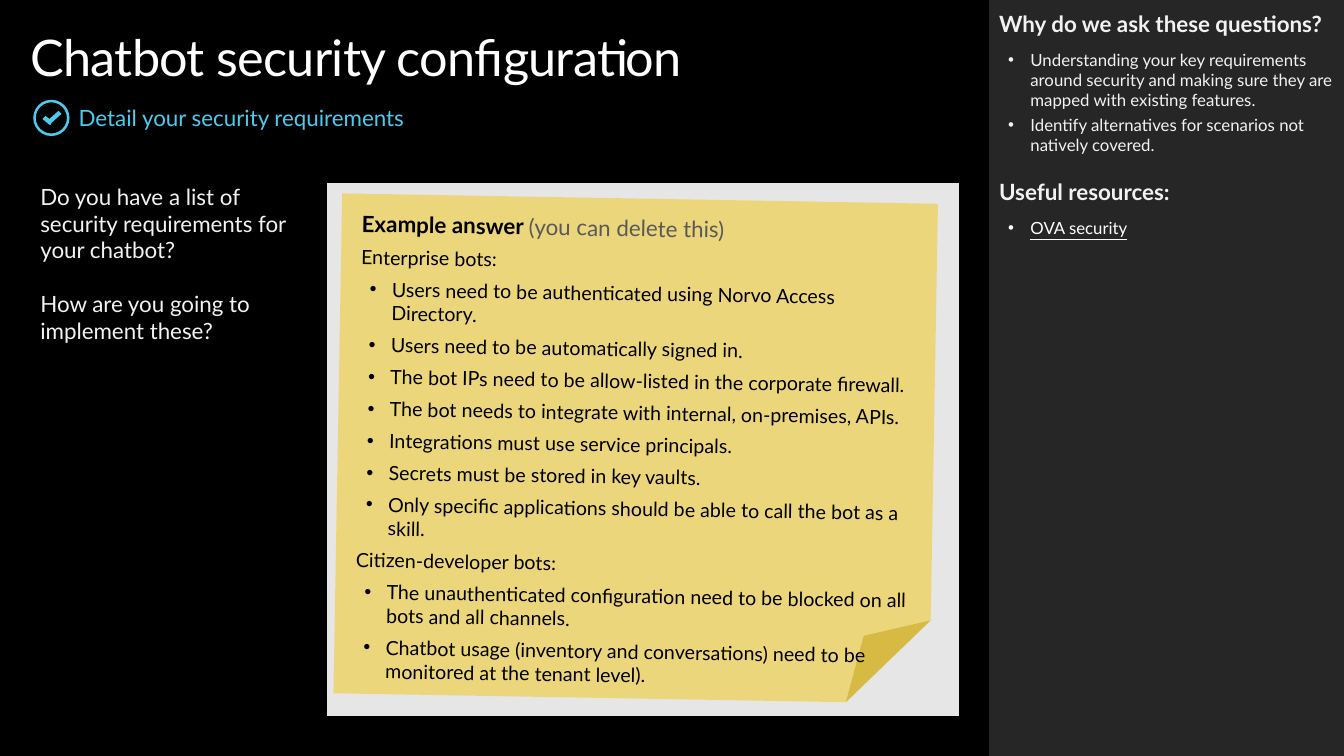
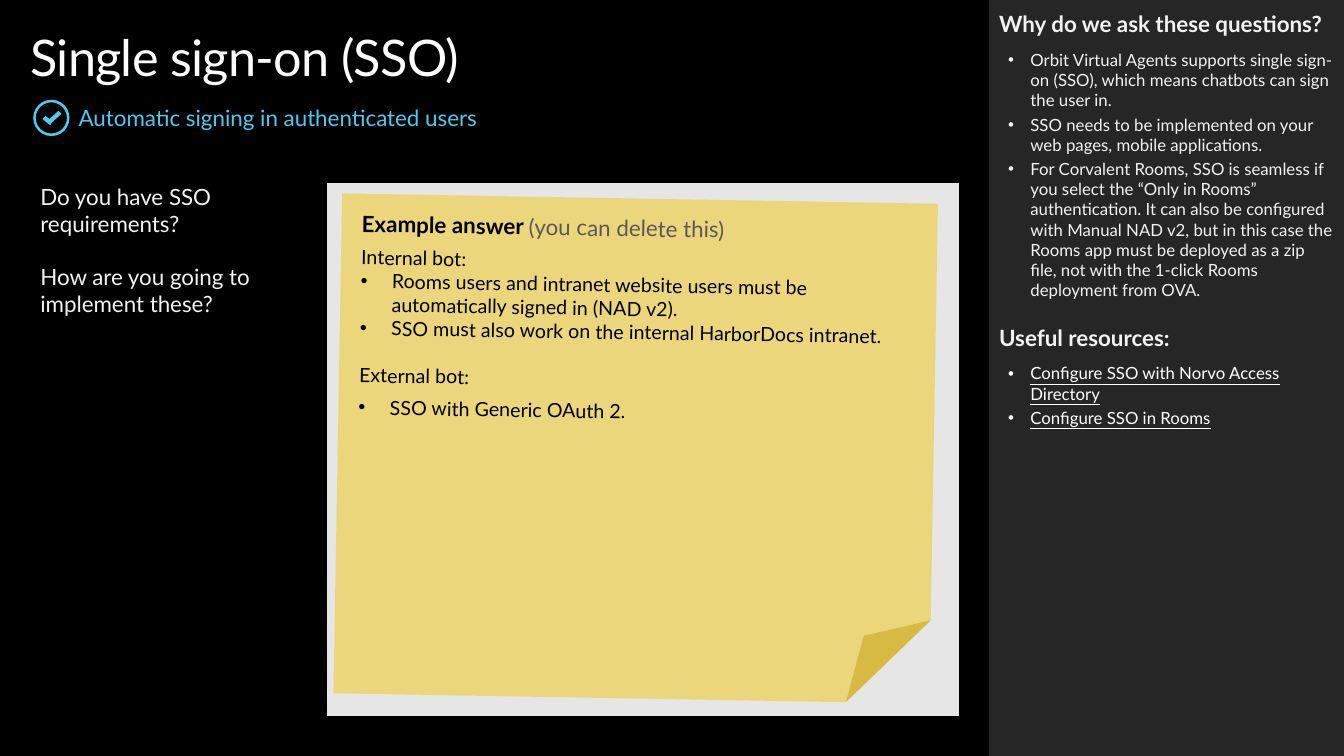
from lxml import etree
from pptx import Presentation
from pptx import util as u
from pptx.dml import color
from pptx.enum import shapes, text
from pptx.oxml import ns

FONT = "Lato"
BLACK, WHITE, PALE, GREY = "000000", "FFFFFF", "F2F2F2", "595959"
ACCENT, PANEL, ANSWER, NOTE = "4CCBED", "262626", "E6E6E6", "F2C811"
NO_TABLE_STYLE = "{2D5ABB26-0587-4C30-8999-92F81FD0307C}"
PANEL_LEFT, PANEL_WIDTH = 9.81, 3.53
BULLET_INDENT = (0.31, 0.22)
WIDE_INDENT = (0.31, 0.31)


def rgb(value):
    return color.RGBColor.from_string(value)


def add_xml(parent, tag, index=None, **attributes):
    child = etree.Element(ns.qn(tag), attributes)
    parent.insert(len(parent) if index is None else index, child)
    return child


def line(words, size, tint, bold=False, underline=False, before=0, after=0,
         indent=None, extra=None):
    """Describe one paragraph; extra is a (words, colour) ending in regular weight."""
    spans = [(words, tint, bold, underline)]
    if extra:
        spans.append((*extra, False, False))
    return {"spans": spans, "size": size, "before": before,
            "after": after, "indent": indent}


# Kinds of paragraph
def heading(words, before=0):
    return line(words, 16, PALE, bold=True, before=before, after=6)


def reason(words):
    return line(words, 12, PALE, before=3, indent=BULLET_INDENT)


def resource(words):
    return line(words, 12, WHITE, underline=True, before=3, indent=BULLET_INDENT)


def note_line(words, before=0, after=6, indent=None):
    return line(words, 14, BLACK, before=before, after=after, indent=indent)


class Workbook:
    def __init__(self):
        self.deck = Presentation()
        self.deck.slide_width = u.Inches(13.33)
        self.deck.slide_height = u.Inches(7.5)
        backdrop = self.deck.slide_master.background.fill
        backdrop.solid()
        backdrop.fore_color.rgb = rgb(BLACK)
        self.page = None

    def new_page(self):
        self.page = self.deck.slides.add_slide(self.deck.slide_layouts[3])
        panel = self.shape(shapes.MSO_SHAPE.RECTANGLE,
                           (PANEL_LEFT, 0, PANEL_WIDTH, 7.5), PANEL)
        self.page.shapes._spTree.insert(2, panel._element)
        self.badge()

    def paint(self, shape, fill):
        shape.shadow.inherit = False
        shape.fill.solid()
        shape.fill.fore_color.rgb = rgb(fill)
        shape.line.fill.background()
        return shape

    def shape(self, kind, place, fill):
        box = self.page.shapes.add_shape(kind, *map(u.Inches, place))
        return self.paint(box, fill)

    def badge(self):
        ring = self.shape(shapes.MSO_SHAPE.DONUT, (0.33, 0.99, 0.36, 0.36), ACCENT)
        ring.adjustments[0] = 0.07
        tick = [(0.58, 1.1), (0.49, 1.18), (0.45, 1.15), (0.42, 1.18),
                (0.48, 1.23), (0.5, 1.24), (0.51, 1.22), (0.61, 1.13)]
        points = [(u.Inches(x), u.Inches(y)) for x, y in tick]
        outline = self.page.shapes.build_freeform(*points[0])
        outline.add_line_segments(points[1:], close=True)
        self.paint(outline.convert_to_shape(), ACCENT)

    def set_lines(self, frame, lines):
        frame.word_wrap = True
        for number, item in enumerate(lines):
            para = frame.paragraphs[0] if number == 0 else frame.add_paragraph()
            para.alignment = text.PP_ALIGN.LEFT
            para.line_spacing = 1.0
            para.space_before = u.Pt(item["before"])
            para.space_after = u.Pt(item["after"])
            left, hang = item["indent"] or (0, 0)
            properties = para._p.get_or_add_pPr()
            properties.set("marL", str(u.Inches(left)))
            properties.set("indent", str(-u.Inches(hang)))
            if item["indent"]:
                add_xml(properties, "a:buFont", typeface="Arial")
                add_xml(properties, "a:buChar", char="•")
            else:
                add_xml(properties, "a:buNone")
            for words, tint, bold, underline in item["spans"]:
                span = para.add_run()
                span.text = words
                span.font.name = FONT
                span.font.size = u.Pt(item["size"])
                span.font.color.rgb = rgb(tint)
                span.font.bold = bold
                span.font.underline = underline

    def set_frame(self, frame, insets, anchor):
        frame.auto_size = text.MSO_AUTO_SIZE.NONE
        frame.vertical_anchor = anchor
        (frame.margin_left, frame.margin_top,
         frame.margin_right, frame.margin_bottom) = map(u.Inches, insets)

    def placeholder(self, index, place, lines, inset=0, anchor=text.MSO_ANCHOR.TOP):
        box = self.page.placeholders[index]
        box.left, box.top, box.width, box.height = map(u.Inches, place)
        self.set_frame(box.text_frame, [inset] * 4, anchor)
        self.set_lines(box.text_frame, lines)
        return box

    def title(self, words):
        box = self.placeholder(0, (0.3, 0.26, 9.21, 0.61), [line(words, 36, WHITE)])
        span = box.text_frame.paragraphs[0].runs[0]
        span._r.get_or_add_rPr().set("spc", "-50")

    def subtitle(self, words):
        self.placeholder(1, (0.78, 1.03, 8.73, 0.27), [line(words, 16, ACCENT)],
                         anchor=text.MSO_ANCHOR.MIDDLE)

    def sidebar(self, reasons, resources, height):
        lines = [heading("Why do we ask these questions?")]
        lines += map(reason, reasons)
        lines.append(heading("Useful resources:", before=17))
        lines += map(resource, resources)
        self.placeholder(2, (PANEL_LEFT, 0, PANEL_WIDTH, height), lines, inset=0.1)

    def question_table(self, questions):
        place = map(u.Inches, (0.4, 1.82, 9.11, 5.32))
        table = self.page.shapes.add_table(1, 2, *place).table
        table.first_row = table.horz_banding = False
        table._tbl.tblPr.find(ns.qn("a:tableStyleId")).text = NO_TABLE_STYLE
        for column, width in zip(table.columns, (2.84, 6.27)):
            column.width = u.Inches(width)
        asked, answer = table.cell(0, 0), table.cell(0, 1)
        asked.fill.background()
        answer.fill.solid()
        answer.fill.fore_color.rgb = rgb(ANSWER)
        asked.margin_left = asked.margin_top = asked.margin_bottom = 0
        asked.margin_right = u.Inches(0.1)
        self.set_lines(asked.text_frame, [
            line(words, 16, PALE, before=19 if number else 0)
            for number, words in enumerate(questions)])
        for cell in (asked, answer):
            border = add_xml(cell._tc.get_or_add_tcPr(), "a:lnB", 0, w=str(u.Pt(6)))
            add_xml(add_xml(border, "a:solidFill"), "a:srgbClr", val=BLACK)

    def sticky_note(self, lines):
        note = self.shape(shapes.MSO_SHAPE.FOLDED_CORNER,
                          (3.35, 1.97, 5.91, 4.96), NOTE)
        note.rotation = 1
        tint = note._element.spPr.find(ns.qn("a:solidFill"))[0]
        add_xml(tint, "a:alpha", val="50000")
        self.set_frame(note.text_frame, (0.2, 0.16, 0.2, 0.16), text.MSO_ANCHOR.TOP)
        top = line("Example answer ", 16, BLACK, bold=True, after=6,
                   extra=("(you can delete this)", GREY))
        self.set_lines(note.text_frame, [top, *lines])

    def question_page(self, title, subtitle, reasons, resources, height,
                      questions, answer):
        self.new_page()
        self.title(title)
        self.subtitle(subtitle)
        self.sidebar(reasons, resources, height)
        self.question_table(questions)
        self.sticky_note(answer)


def main():
    book = Workbook()

    # Security requirements
    enterprise = [
        "Users need to be authenticated using Norvo Access Directory.",
        "Users need to be automatically signed in.",
        "The bot IPs need to be allow-listed in the corporate firewall.",
        "The bot needs to integrate with internal, on-premises, APIs.",
        "Integrations must use service principals.",
        "Secrets must be stored in key vaults.",
        "Only specific applications should be able to call the bot as a skill.",
    ]
    citizen = [
        "The unauthenticated configuration need to be blocked on all bots "
        "and all channels.",
        "Chatbot usage (inventory and conversations) need to be monitored "
        "at the tenant level).",
    ]
    answer = []
    for group, needs in (("Enterprise bots:", enterprise),
                         ("Citizen-developer bots:", citizen)):
        answer.append(note_line(group))
        answer += [note_line(need, indent=BULLET_INDENT) for need in needs]
    book.question_page(
        "Chatbot security configuration",
        "Detail your security requirements",
        ["Understanding your key requirements around security and making sure "
         "they are mapped with existing features.",
         "Identify alternatives for scenarios not natively covered."],
        ["OVA security"], 2.48,
        ["Do you have a list of security requirements for your chatbot?",
         "How are you going to implement these?"],
        answer)

    # Single sign-on
    book.question_page(
        "Single sign-on (SSO)",
        "Automatic signing in authenticated users",
        ["Orbit Virtual Agents supports single sign-on (SSO), which means "
         "chatbots can sign the user in.",
         "SSO needs to be implemented on your web pages, mobile applications.",
         "For Corvalent Rooms, SSO is seamless if you select the “Only in Rooms” "
         "authentication. It can also be configured with Manual NAD v2, but in "
         "this case the Rooms app must be deployed as a zip file, not with the "
         "1-click Rooms deployment from OVA."],
        ["Configure SSO with Norvo Access Directory", "Configure SSO in Rooms"], 4.18,
        ["Do you have SSO requirements?", "How are you going to implement these?"],
        [note_line("Internal bot:", after=0),
         note_line("Rooms users and intranet website users must be automatically "
                   "signed in (NAD v2).", after=0, indent=WIDE_INDENT),
         note_line("SSO must also work on the internal HarborDocs intranet.",
                   after=0, indent=WIDE_INDENT),
         note_line("External bot:", before=17),
         note_line("SSO with Generic OAuth 2.", indent=WIDE_INDENT)])

    book.deck.save("out.pptx")


if __name__ == "__main__":
    main()
